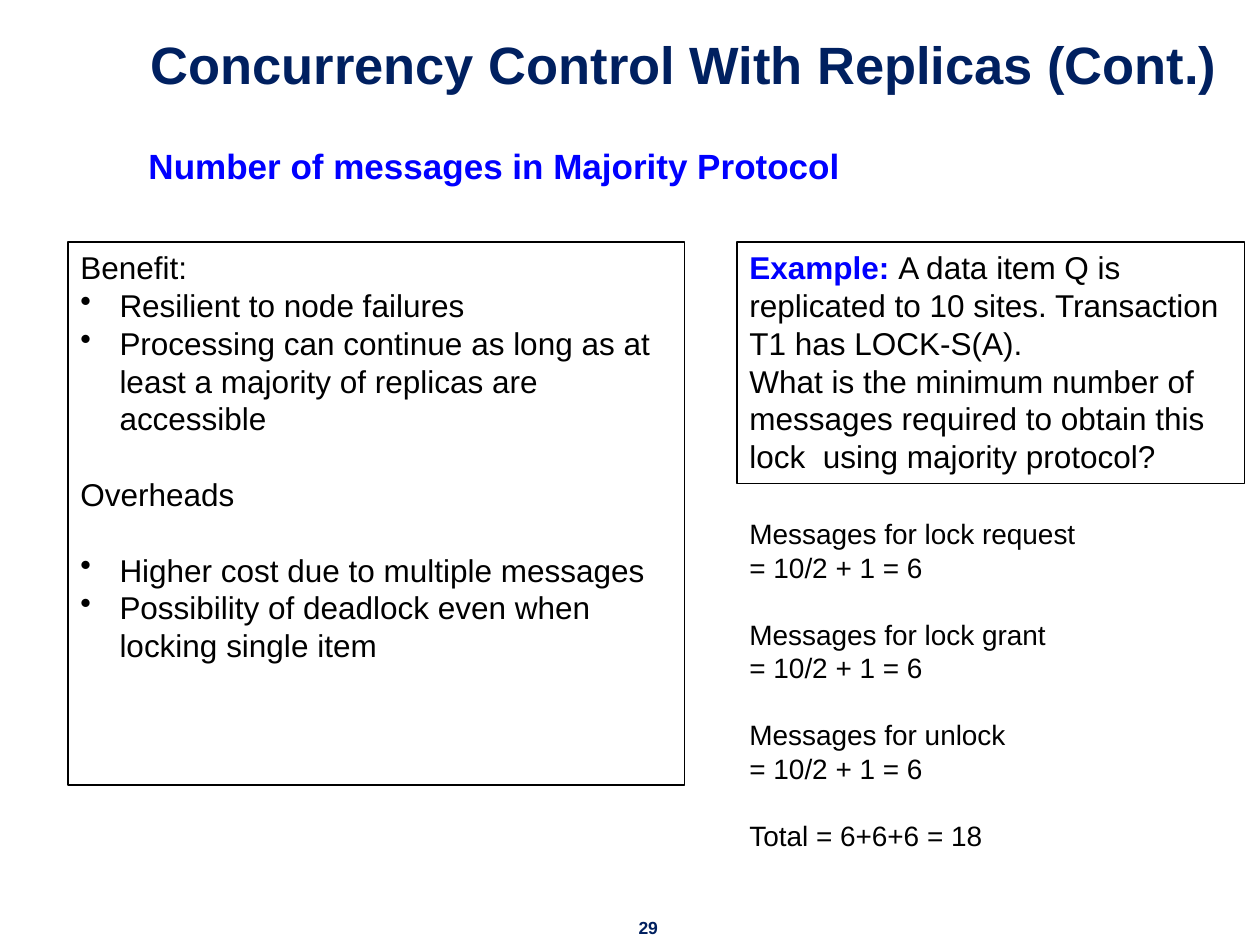
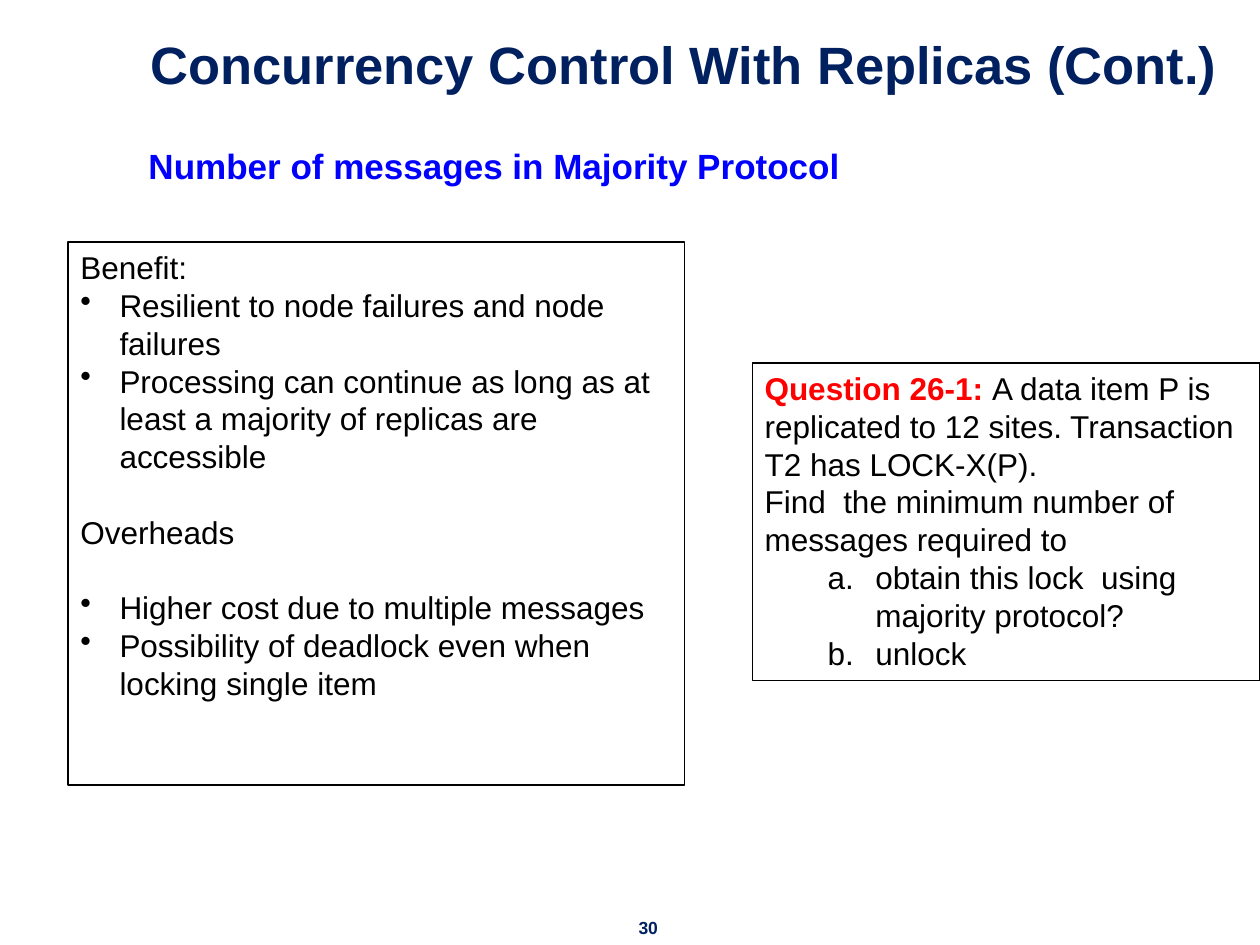
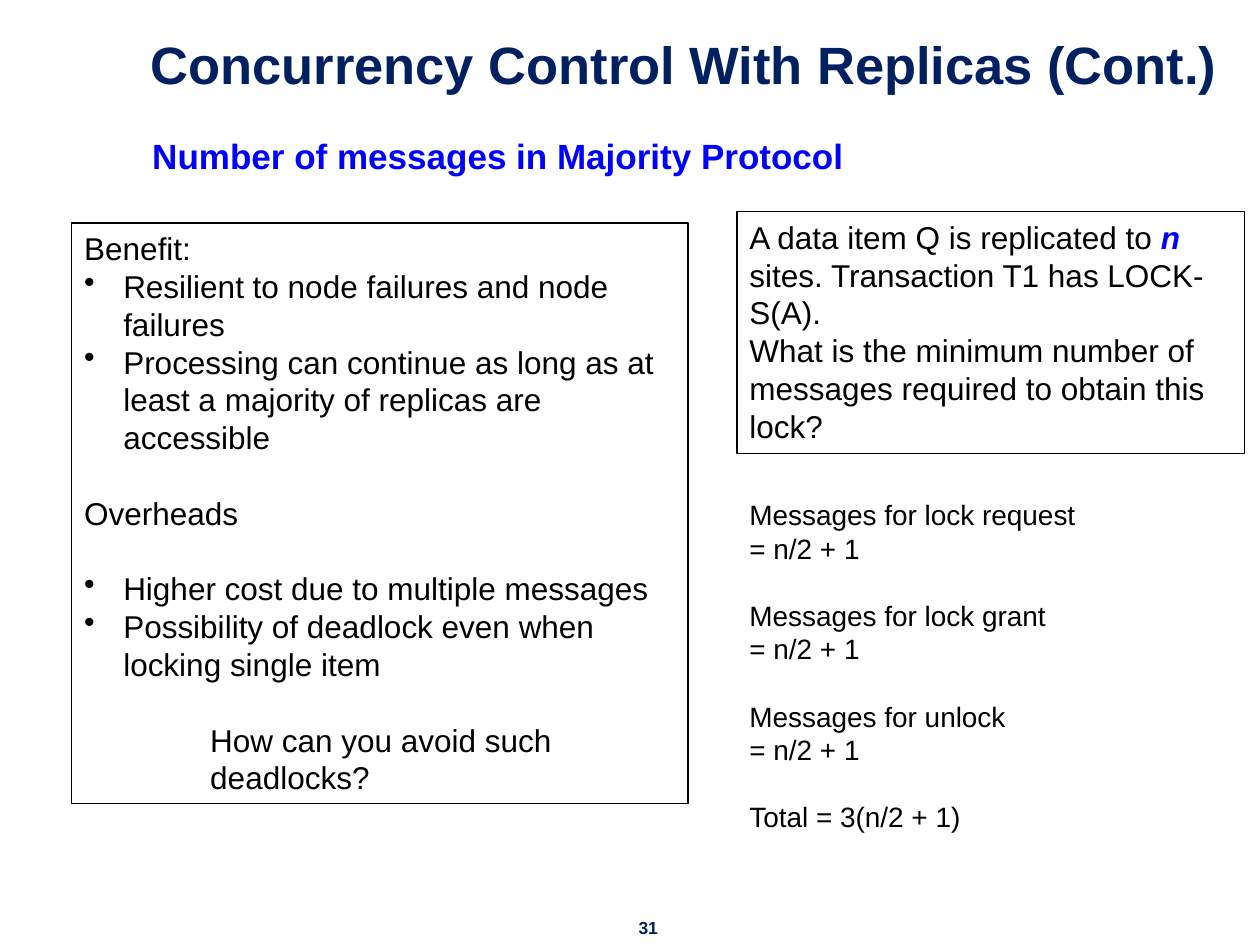
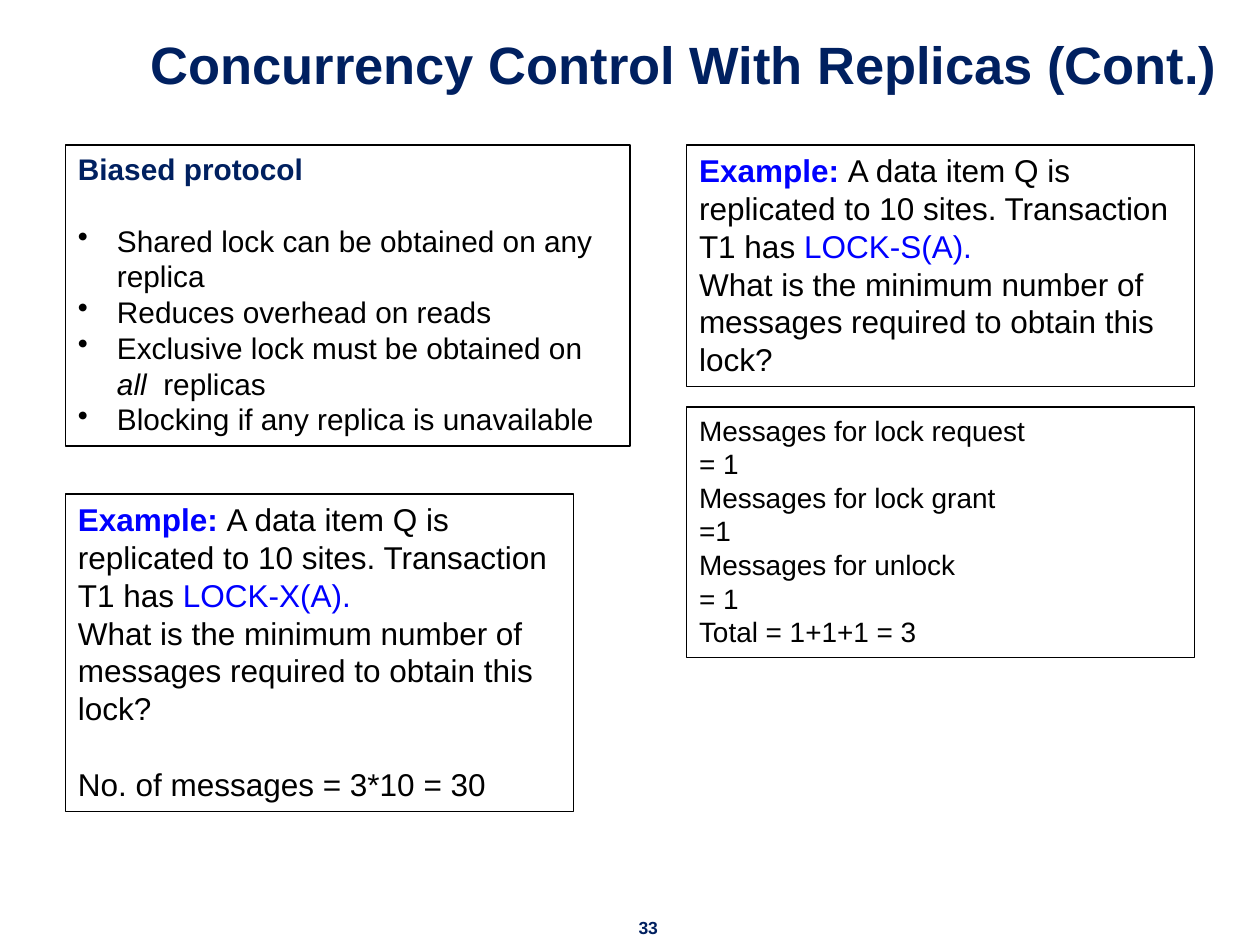
from dataclasses import dataclass

from lxml import etree
from pptx import Presentation, util as u
from pptx.dml.color import RGBColor
from pptx.enum import shapes, text
from pptx.oxml.ns import qn


@dataclass(frozen=True)
class Theme:
    font: str = "Arial"
    navy: str = "002060"
    blue: str = "0000FF"
    red: str = "FF0000"
    black: str = "000000"
    title: int = 30
    sub: int = 20
    body: int = 18
    list: int = 17
    calc: int = 16
    page: int = 10
    rule: float = 0.75
    lead: float = 1.2


T = Theme()
LOOKS = {
    "plain": (T.black, False, False),
    "head": (T.navy, True, False),
    "key": (T.blue, True, False),
    "ask": (T.red, True, False),
    "lock": (T.blue, False, False),
    "var": (T.blue, True, True),
    "ital": (T.black, False, True),
}
INDENTS = {
    "dot": (0.31, -0.31, "buChar", {"char": "•"}),
    "let": (0.88, -0.38, "buAutoNum", {"type": "alphaLcPeriod"}),
    "deep": (1, 0, "buNone", {}),
}

TITLE = "Concurrency Control With Replicas (Cont.)"
SUB = "Number of messages in Majority Protocol"
STEPS = ("Messages for lock request", "Messages for lock grant", "Messages for unlock")
ASK = "What is the minimum number of messages required to obtain this lock"
SITES = "A data item Q is replicated to 10 sites. Transaction T1 has "
WIDE, SIDE = 4.89, 4.03


def para(words, kind="", gap=False):
    runs = [(words, "plain")] if isinstance(words, str) else words
    return runs, kind, gap


def merits(fault, *more):
    return [
        para("Benefit:"),
        para(fault, "dot"),
        para("Processing can continue as long as at least a majority of replicas are accessible", "dot"),
        para("Overheads", gap=True),
        para("Higher cost due to multiple messages", "dot", True),
        para("Possibility of deadlock even when locking single item", "dot"),
        *more,
    ]


def tally(costs, total, gap=True):
    rows = []
    for step, cost in zip(STEPS, costs):
        rows += [para(step, gap=gap and bool(rows)), para(cost)]
    return rows + [para(total, gap=gap)]


def sample(lock, *more):
    return [para([("Example: ", "key"), (SITES, "plain"), (lock, "lock")]),
            para(ASK + "?"), *more]


FAULT = "Resilient to node failures"
BOTH = FAULT + " and node failures"

SLIDES = [
    dict(page=29, title=(0.78, 9.3), sub=(1.08, 1.1), parts=[
        ((0.54, 1.92, WIDE, 4.31), T.body, True, merits(FAULT)),
        ((5.85, 1.92, SIDE, 1.92), T.body, True, [
            para([("Example: ", "key"), (SITES + "LOCK-S(A).", "plain")]),
            para(ASK + "  using majority protocol?")]),
        ((5.85, 4.05, SIDE, 2.79), T.calc, False,
         tally(["= 10/2 + 1 = 6"] * 3, "Total = 6+6+6 = 18")),
    ]),
    dict(page=30, title=(0.78, 9.3), sub=(1.08, 1.1), parts=[
        ((0.54, 1.92, WIDE, 4.31), T.body, True, merits(BOTH)),
        ((5.97, 2.88, SIDE, 2.52), T.body, True, [
            para([("Question 26-1: ", "ask"),
                  ("A data item P is replicated to 12 sites. Transaction T2 has LOCK-X(P).", "plain")]),
            para("Find  the minimum number of messages required to"),
            para("obtain this lock  using majority protocol?", "let"),
            para("unlock", "let")]),
    ]),
    dict(page=31, title=(0.78, 9.3), sub=(1.11, 1.02), parts=[
        ((0.57, 1.77, WIDE, 4.61), T.body, True,
         merits(BOTH, para("How can you avoid such deadlocks?", "deep", True))),
        ((5.85, 1.68, SIDE, 1.92), T.body, True, [
            para([("A data item Q is replicated to ", "plain"), ("n ", "var"),
                  ("sites. Transaction T1 has LOCK-S(A).", "plain")]),
            para(ASK + "?")]),
        ((5.85, 3.9, SIDE, 2.79), T.calc, False,
         tally(["= n/2 + 1"] * 3, "Total = 3(n/2 + 1)")),
    ]),
    dict(page=33, title=(0.76, 9.34), sub=None, parts=[
        ((0.52, 1.15, 4.48, 2.39), T.list, True, [
            para([("Biased protocol", "head")]),
            para("Shared lock can be obtained on any replica", "dot", True),
            para("Reduces overhead on reads", "dot"),
            para([("Exclusive lock must be obtained on ", "plain"), ("all ", "ital"),
                  (" replicas", "plain")], "dot"),
            para("Blocking if any replica is unavailable", "dot")]),
        ((5.45, 1.15, SIDE, 1.92), T.body, True, sample("LOCK-S(A).")),
        ((5.45, 3.23, SIDE, 1.99), T.calc, True,
         tally(["= 1", "=1", "= 1"], "Total = 1+1+1 = 3", False)),
        ((0.52, 3.92, SIDE, 2.52), T.body, True,
         sample("LOCK-X(A).", para("No. of messages = 3*10 = 30", gap=True))),
    ]),
]


def indent(line, kind):
    left, first, tag, attrs = INDENTS[kind]
    props = line._p.get_or_add_pPr()
    props.set("marL", str(u.Inches(left)))
    props.set("indent", str(u.Inches(first)))
    etree.SubElement(props, qn("a:" + tag), attrs)


def write(frame, paras, size, align):
    for i, (runs, kind, gap) in enumerate(paras):
        line = frame.add_paragraph() if i else frame.paragraphs[0]
        line.alignment = align
        if gap:
            line.space_before = u.Pt(round(size * T.lead, 1))
        if kind:
            indent(line, kind)
        for words, look in runs:
            run = line.add_run()
            run.text = words
            font = run.font
            color, font.bold, font.italic = LOOKS[look]
            font.name, font.size = T.font, u.Pt(size)
            font.color.rgb = RGBColor.from_string(color)


def block(slide, at, size, framed, paras, align=text.PP_ALIGN.LEFT,
          anchor=text.MSO_ANCHOR.TOP, wrap=True):
    area = [u.Inches(n) for n in at]
    if framed:
        box = slide.shapes.add_shape(shapes.MSO_SHAPE.RECTANGLE, *area)
        box.shadow.inherit = False
        box.fill.background()
        box.line.color.rgb = RGBColor.from_string(T.black)
        box.line.width = u.Pt(T.rule)
    else:
        box = slide.shapes.add_textbox(*area)
    frame = box.text_frame
    frame.word_wrap = wrap
    frame.vertical_anchor = anchor
    write(frame, paras, size, align)


def build(deck, page, title, sub, parts):
    slide = deck.slides.add_slide(deck.slide_layouts[6])
    mid = text.PP_ALIGN.CENTER
    block(slide, (4.96, 7.23, 0.37, 0.27), T.page, False,
          [para([(str(page), "head")])], mid, wrap=False)
    left, width = title
    block(slide, (left, 0.13, width, 0.67), T.title, False,
          [para([(TITLE, "head")])], mid, text.MSO_ANCHOR.BOTTOM)
    for part in parts:
        block(slide, *part)
    if sub:
        block(slide, (*sub, 6.92, 0.44), T.sub, False, [para([(SUB, "key")])])


def main():
    deck = Presentation()
    deck.slide_width, deck.slide_height = u.Inches(10), u.Inches(7.5)
    for item in SLIDES:
        build(deck, **item)
    deck.save("out.pptx")


if __name__ == "__main__":
    main()
